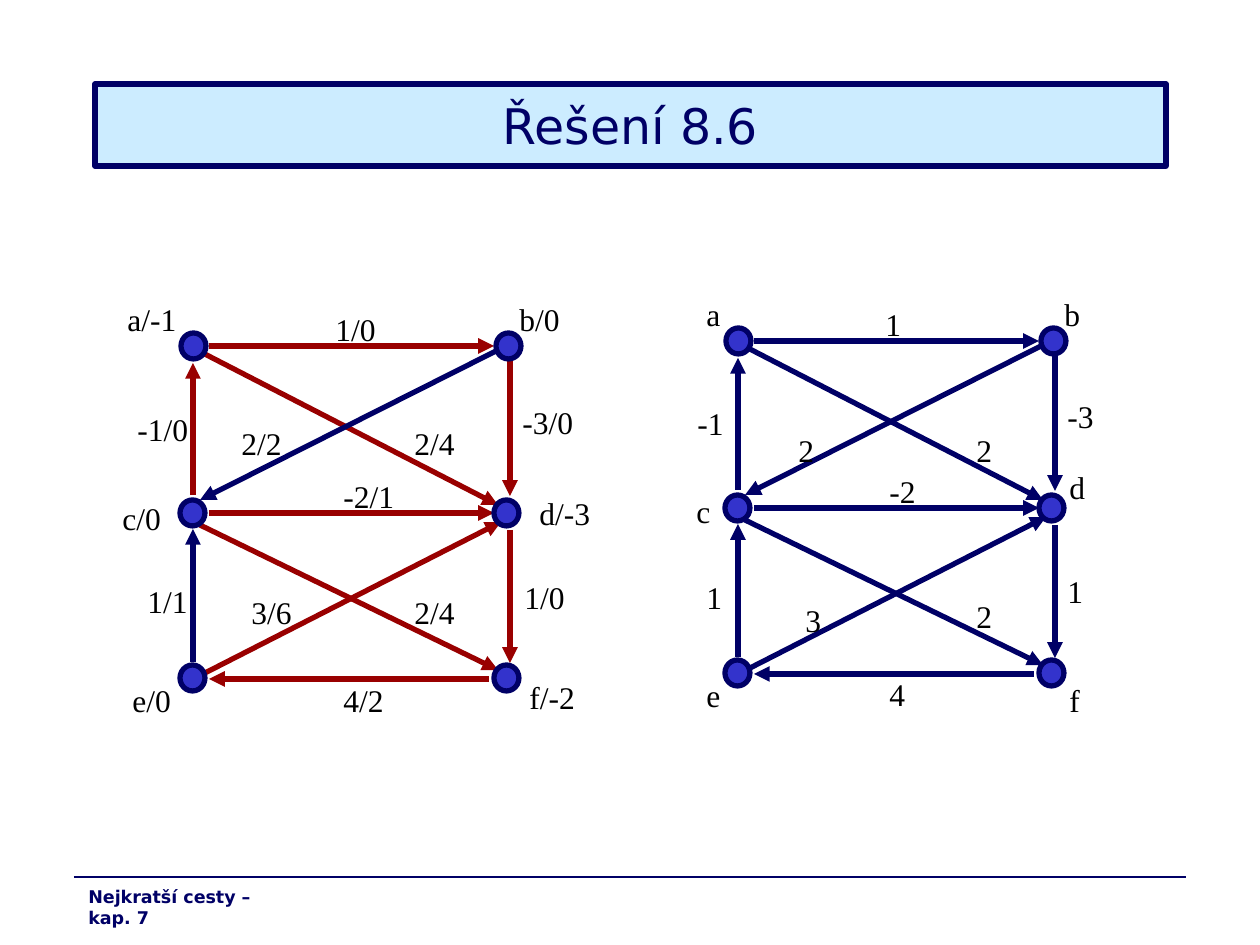
from lxml import etree
from pptx import Presentation
from pptx.dml.color import RGBColor
from pptx.enum.shapes import MSO_CONNECTOR as CONN, MSO_SHAPE as SHAPE
from pptx.enum.text import MSO_ANCHOR as ANCHOR, MSO_AUTO_SIZE as AUTO, PP_ALIGN as ALIGN
from pptx.oxml.ns import qn
from pptx.util import Emu, Pt

NAVY, RED, BLUE, PALE, BLACK = "000066", "990000", "3333CC", "CCECFF", "000000"
SANS, SERIF = "DejaVu Sans", "Times New Roman"
NODE_W, NODE_H, LABEL_H = 25, 26, 50

# Node corners and arrow ends of the left graph; the right one is shifted
NODES = [(181, 333), (494, 500), (180, 500), (180, 665), (494, 665), (496, 333)]
EDGES = {
    "ed": (205, 673, 501, 522), "cd": (209, 513, 494, 513),
    "fe": (489, 679, 209, 679), "ec": (193, 662, 193, 529),
    "ab": (209, 346, 494, 346), "ad": (197, 350, 498, 505),
    "bd": (510, 355, 510, 496), "cf": (200, 525, 498, 670),
    "bc": (498, 350, 200, 500), "ca": (193, 495, 193, 363),
    "df": (510, 530, 510, 663),
}
RIGHT_SHIFT = (545, -5)
OUTSIDE_TREE = {"ec", "bc"}

# Labels: text, left, top, width
LEFT_LABELS = [
    ("1/0", 323, 304, 86), ("1/1", 135, 576, 67), ("1/0", 512, 572, 77),
    ("2/2", 229, 418, 82), ("-3/0", 510, 397, 92), ("2/4", 402, 418, 78),
    ("-2/1", 331, 471, 86), ("3/6", 239, 587, 71), ("-1/0", 125, 404, 81),
    ("2/4", 402, 587, 93), ("4/2", 331, 675, 76), ("a/-1", 115, 294, 84),
    ("f/-2", 517, 672, 89), ("e/0", 120, 675, 69), ("d/-3", 527, 488, 79),
    ("c/0", 110, 493, 69), ("b/0", 507, 294, 69),
]
RIGHT_LABELS = [
    ("1", 873, 299, 40), ("1", 694, 572, 40), ("1", 1055, 566, 40),
    ("2", 786, 425, 40), ("-3", 1055, 391, 52), ("2", 964, 425, 40),
    ("-2", 877, 466, 52), ("3", 793, 595, 40), ("-1", 685, 398, 52),
    ("2", 964, 591, 40), ("4", 877, 669, 40), ("a", 694, 289, 39),
    ("f", 1057, 675, 35), ("e", 694, 670, 39), ("d", 1057, 462, 40),
    ("c", 684, 486, 39), ("b", 1052, 289, 40),
]


def px(n):
    return Emu(round(n * 914400 / 126))


def rgb(color):
    return RGBColor.from_string(color)


def add_line(shapes, ends, color, width=3.0, arrow=True):
    line = shapes.add_connector(CONN.STRAIGHT, *map(px, ends))
    line.line.color.rgb = rgb(color)
    line.line.width = Pt(width)
    if arrow:
        etree.SubElement(line.line._get_or_add_ln(), qn("a:tailEnd"), type="triangle")
    etree.SubElement(line._element.spPr, qn("a:effectLst"))


def add_box(shapes, kind, x, y, w, h, fill):
    sp = shapes.add_shape(kind, px(x), px(y), px(w), px(h))
    sp.shadow.inherit = False
    sp.fill.solid()
    sp.fill.fore_color.rgb = rgb(fill)
    sp.line.color.rgb = rgb(NAVY)
    sp.line.width = Pt(3)
    return sp


def write(tf, text, size, font, color, before=0.0):
    p = tf.paragraphs[0]
    p.text = text
    p.space_before = Pt(before)
    p.font.size = Pt(size)
    p.font.name = font
    p.font.color.rgb = rgb(color)
    return p


def add_text(shapes, x, y, w, h, wrap):
    tf = shapes.add_textbox(px(x), px(y), px(w), px(h)).text_frame
    tf.word_wrap = wrap
    tf.auto_size = AUTO.SHAPE_TO_FIT_TEXT
    return tf


def add_graph(shapes, labels, tree_color, shift=(0, 0), wrap=True):
    dx, dy = shift
    for name, (x1, y1, x2, y2) in EDGES.items():
        color = NAVY if name in OUTSIDE_TREE else tree_color
        add_line(shapes, (x1 + dx, y1 + dy, x2 + dx, y2 + dy), color)
    for x, y in NODES:
        add_box(shapes, SHAPE.OVAL, x + dx, y + dy, NODE_W, NODE_H, BLUE)
    for text, x, y, w in labels:
        tf = add_text(shapes, x, y, w, LABEL_H, wrap)
        write(tf, text, 18, SERIF, BLACK, before=4.5)


def main():
    prs = Presentation()
    prs.slide_width, prs.slide_height = px(1260), px(945)
    s = prs.slides.add_slide(prs.slide_layouts[6])

    # Title bar
    tf = add_box(s.shapes, SHAPE.RECTANGLE, 95, 84, 1071, 82, PALE).text_frame
    tf.vertical_anchor = ANCHOR.MIDDLE
    write(tf, "Řešení 8.6", 28, SANS, NAVY).alignment = ALIGN.CENTER

    # Solved graph and the given graph
    add_graph(s.shapes, LEFT_LABELS, RED)
    group = s.shapes.add_group_shape()
    add_graph(group.shapes, RIGHT_LABELS, NAVY, RIGHT_SHIFT, wrap=False)

    # Footer
    add_line(s.shapes, (74, 877, 1186, 877), NAVY, 0.75, arrow=False)
    tf = add_text(s.shapes, 76, 880, 226, 34, wrap=True)
    write(tf, "Nejkratší cesty – kap. 7", 10, SANS, NAVY, before=2.5).font.bold = True

    prs.save("out.pptx")


if __name__ == "__main__":
    main()
